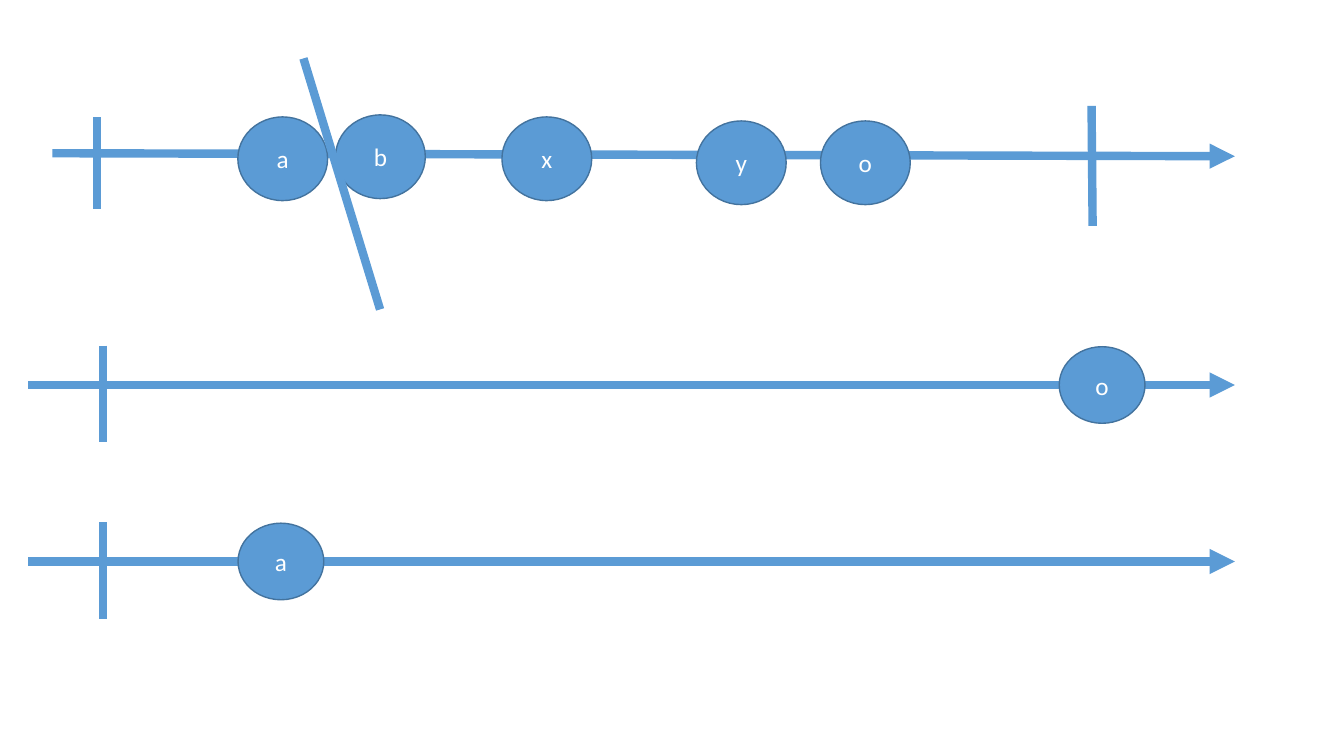
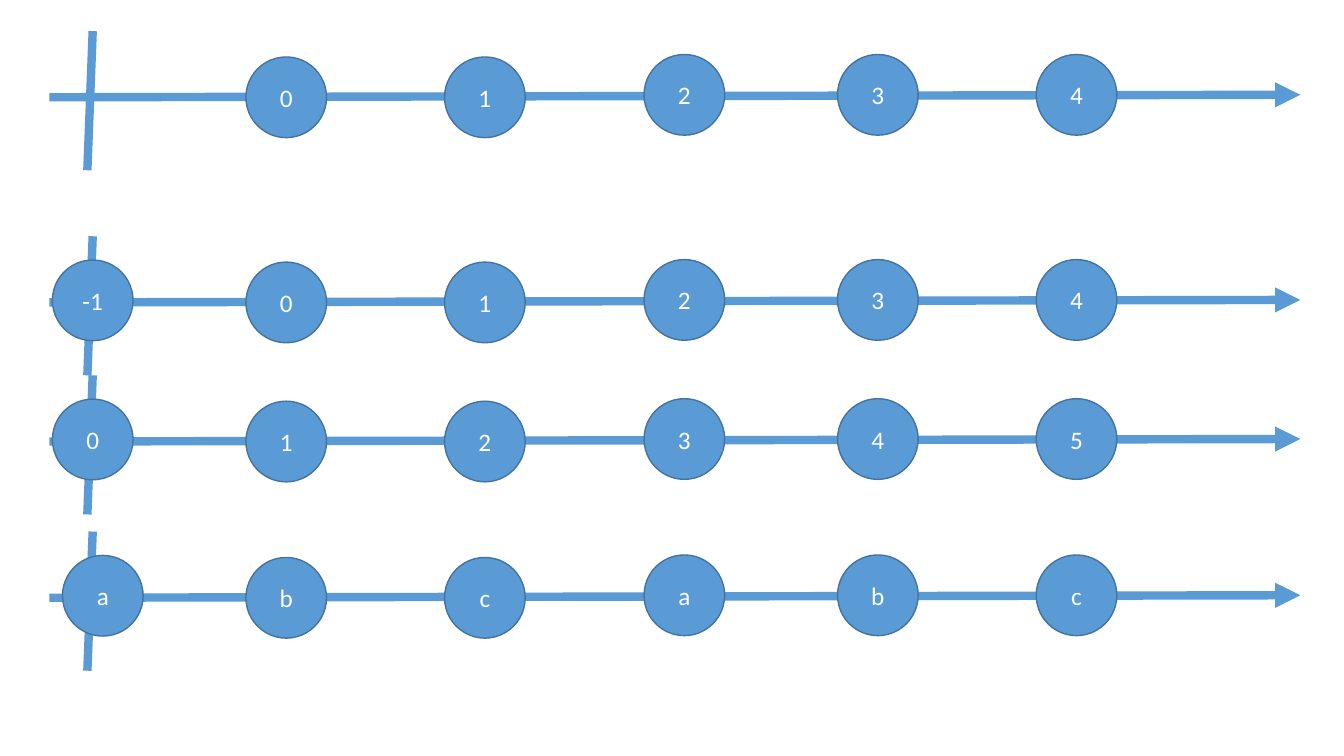
import pptx
import pptx.dml.color
import pptx.enum.shapes
import pptx.enum.text
import pptx.oxml
import pptx.oxml.ns
import pptx.util
from dataclasses import dataclass


@dataclass(frozen=True)
class Theme:
    blue: str = "5B9BD5"
    outline: str = "43739E"
    label: str = "FFFFFF"
    font: str = "Calibri"
    label_size: float = 18
    axis_weight: float = 6
    outline_weight: float = 1


THEME = Theme()
SLIDE_WIDTH = pptx.util.Inches(13.333)
SLIDE_HEIGHT = pptx.util.Inches(7.5)


# Every position and size is a percentage of the slide's width or height
def across(share):
    return round(SLIDE_WIDTH * share / 100)


def down(share):
    return round(SLIDE_HEIGHT * share / 100)


def colour(value):
    return pptx.dml.color.RGBColor.from_string(value)


# Element kinds
def stroke(slide, start, end, arrow=False):
    """Thick line for axes and marks, with an optional arrowhead."""
    line = slide.shapes.add_connector(
        pptx.enum.shapes.MSO_CONNECTOR.STRAIGHT,
        across(start[0]), down(start[1]), across(end[0]), down(end[1]))
    line.line.color.rgb = colour(THEME.blue)
    line.line.width = pptx.util.Pt(THEME.axis_weight)
    properties = line._element.spPr
    if arrow:
        head = pptx.oxml.ns.qn("a:tailEnd")
        properties.find(pptx.oxml.ns.qn("a:ln")).makeelement
        outline = properties.find(pptx.oxml.ns.qn("a:ln"))
        outline.append(outline.makeelement(head, {"type": "triangle"}))
    properties.append(properties.makeelement(pptx.oxml.ns.qn("a:effectLst"), {}))


def node(slide, label, centre, size):
    """Labelled ellipse around its centre."""
    (x, y), (width, height) = centre, size
    ellipse = slide.shapes.add_shape(
        pptx.enum.shapes.MSO_SHAPE.OVAL,
        across(x - width / 2), down(y - height / 2), across(width), down(height))
    ellipse.shadow.inherit = False
    ellipse.fill.solid()
    ellipse.fill.fore_color.rgb = colour(THEME.blue)
    ellipse.line.color.rgb = colour(THEME.outline)
    ellipse.line.width = pptx.util.Pt(THEME.outline_weight)

    frame = ellipse.text_frame
    frame.text = label
    frame.vertical_anchor = pptx.enum.text.MSO_ANCHOR.MIDDLE
    paragraph = frame.paragraphs[0]
    paragraph.alignment = pptx.enum.text.PP_ALIGN.CENTER
    font = paragraph.runs[0].font
    font.name = THEME.font
    font.size = pptx.util.Pt(THEME.label_size)
    font.color.rgb = colour(THEME.label)


# Slide 1: points on an interval, then one point per line
def interval_slide(slide):
    wide_node, small_node = (6.68, 11.07), (6.38, 10.13)
    axis_end = 91.88

    stroke(slide, (3.9, 20.27), (axis_end, 20.67), arrow=True)
    stroke(slide, (7.2, 15.5), (7.2, 27.6))
    points = [("a", 21.04, 21), ("b", 28.31, 20.73), ("x", 40.69, 21),
              ("y", 55.16, 21.53), ("o", 64.39, 21.53)]
    for label, x, y in points:
        node(slide, label, (x, y), wide_node)
    stroke(slide, (81.22, 14), (81.3, 29.87))

    for label, x, y in [("o", 82, 50.93), ("a", 20.9, 74.27)]:
        stroke(slide, (2.1, y), (axis_end, y), arrow=True)
        stroke(slide, (7.65, y - 5.2), (7.65, y + 7.55))
        node(slide, label, (x, y), small_node)

    # Slanted cut between a and b
    stroke(slide, (22.58, 7.73), (28.28, 40.93))


# Slide 2: rows of indexed points, the first one standing on the mark
def index_row(slide, y, labels, first_x=6.9):
    columns = [first_x, 21.3, 36.08, 50.92, 65.32, 80.1]
    lifts = [0.27, 0, 0, 0.33, 0.33, 0.33]
    stroke(slide, (3.68, y), (96.75, y - 0.33), arrow=True)
    stroke(slide, (6.9, y - 8.75), (6.5, y + 9.65))
    for label, x, lift in zip(labels, columns, lifts):
        if label is not None:
            node(slide, label, (x, y - lift), (6, 10.67))


def index_slide(slide):
    index_row(slide, 12.87, [None, "0", "1", "2", "3", "4"])
    index_row(slide, 40, ["-1", "0", "1", "2", "3", "4"])
    index_row(slide, 58.4, ["0", "1", "2", "3", "4", "5"])
    index_row(slide, 79.07, ["a", "b", "c", "a", "b", "c"], first_x=7.65)


def main():
    deck = pptx.Presentation()
    deck.slide_width, deck.slide_height = SLIDE_WIDTH, SLIDE_HEIGHT
    blank = deck.slide_layouts[6]
    for build in (interval_slide, index_slide):
        build(deck.slides.add_slide(blank))
    deck.save("out.pptx")


if __name__ == "__main__":
    main()
